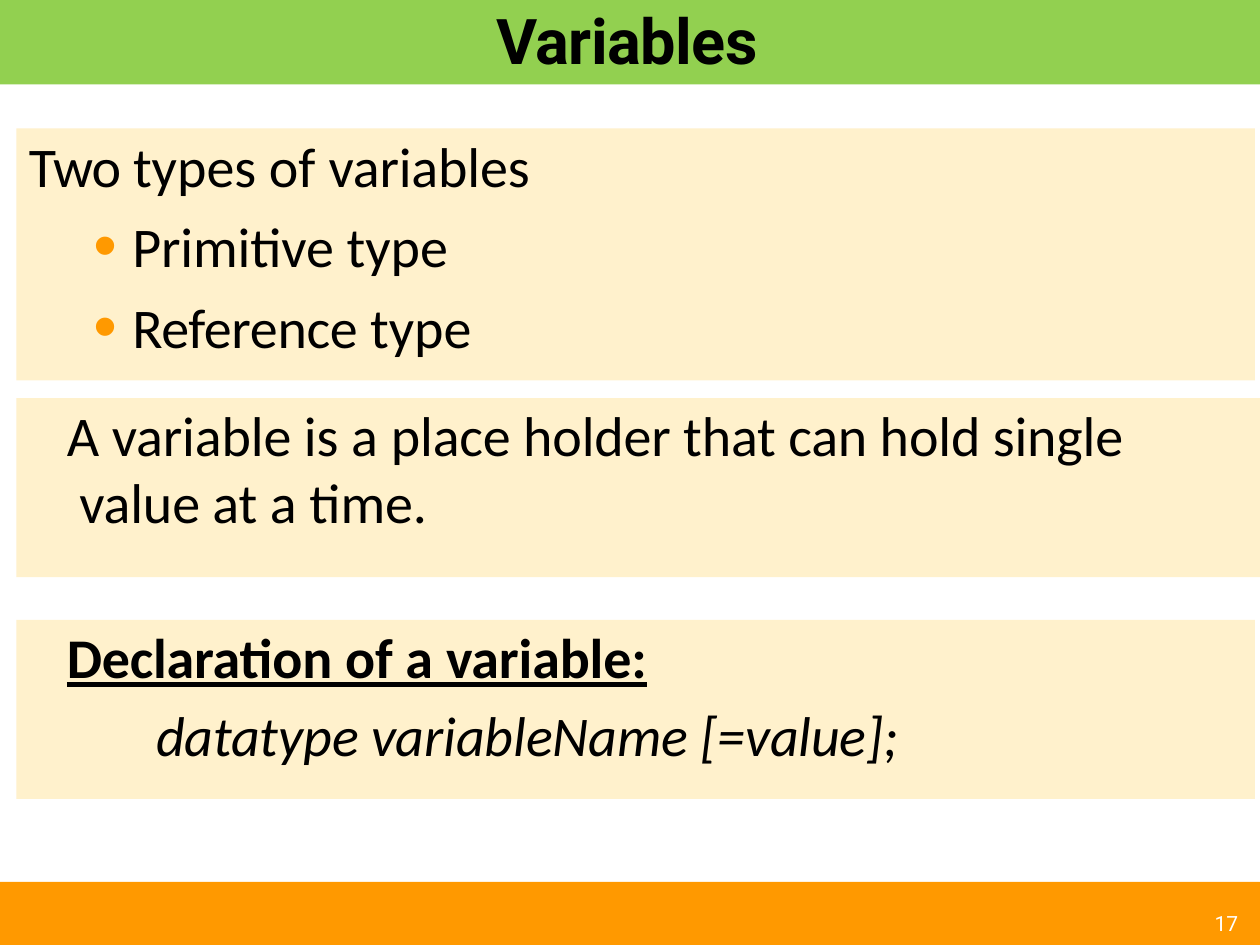
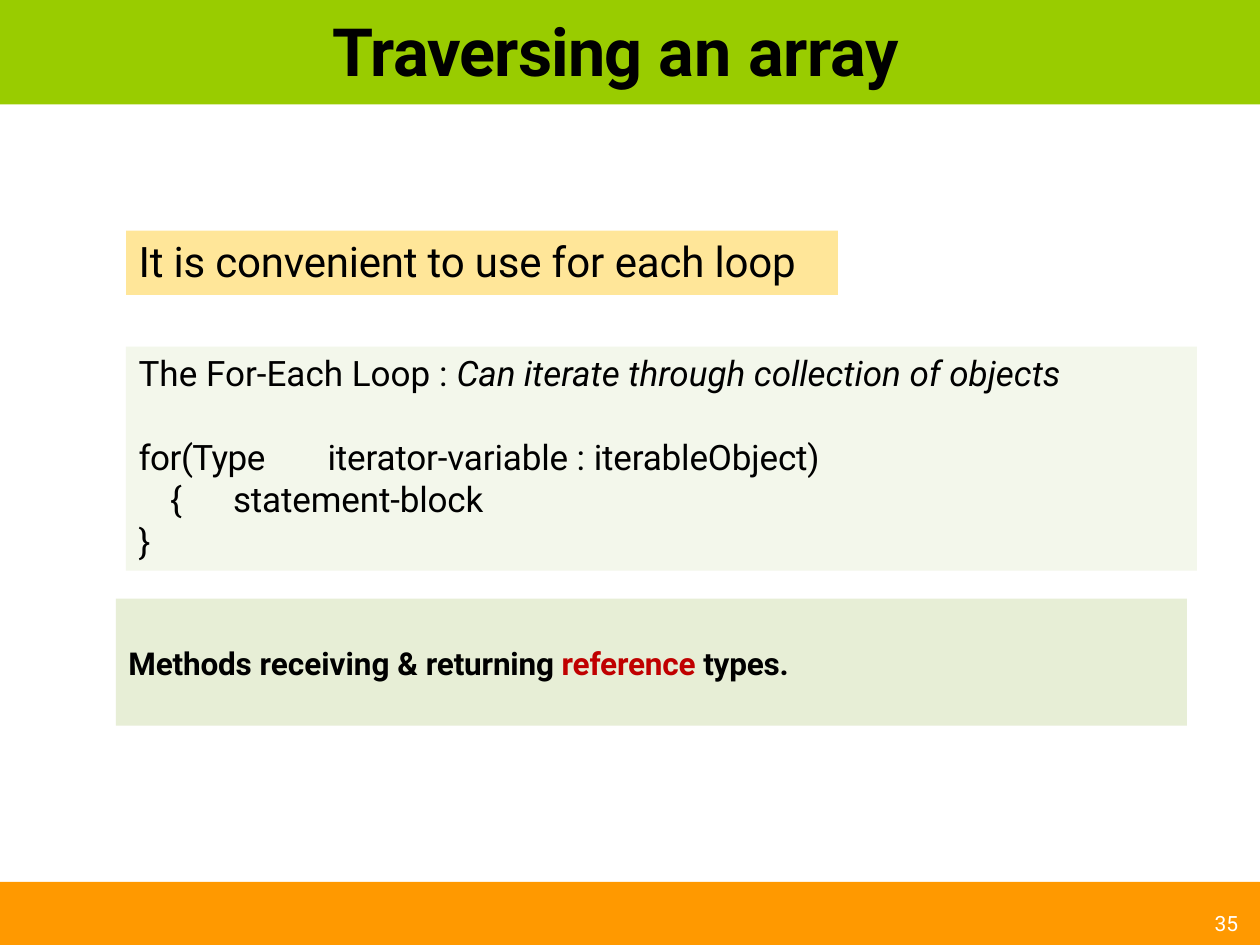
from lxml.etree import SubElement as Sub
from pptx import Presentation
from pptx.dml.color import RGBColor
from pptx.enum.shapes import MSO_SHAPE as Kind
from pptx.enum.text import MSO_ANCHOR as Anchor, MSO_AUTO_SIZE as Fit, PP_ALIGN as Align
from pptx.oxml.ns import qn
from pptx.util import Inches, Pt

COLS, ROWS = 100, 75
BLACK, WHITE, ORANGE, RED = "000000", "FFFFFF", "FF9900", "C00000"
LEAF, LIME, CREAM = "92D050", "99CC00", "FFF1CC"
SAND, MINT, SAGE = "FFE699", "F3F7EB", "E7EED6"
FOOT = (0, 70, COLS, 5)

deck = Presentation()
deck.slide_width, deck.slide_height = Inches(10), Inches(7.5)
COL, ROW = deck.slide_width / COLS, deck.slide_height / ROWS


def paint(colour, hue):
    """Set a fill or font colour from a hex string."""
    colour.rgb = RGBColor.from_string(hue)


def span(box):
    """Turn a box in grid cells into lengths."""
    x, y, w, h = box
    return [round(n) for n in (x * COL, y * ROW, w * COL, h * ROW)]


def panel(slide, box, hue):
    """Draw a plain filled rectangle."""
    shape = slide.shapes.add_shape(Kind.RECTANGLE, *span(box))
    shape.shadow.inherit = False
    shape.fill.solid()
    paint(shape.fill.fore_color, hue)
    shape.line.fill.background()
    return shape


def frame(shape, top=0.01, anchor=Anchor.TOP):
    """Prepare the text frame of a shape."""
    text = shape.text_frame
    text.word_wrap, text.auto_size = True, Fit.NONE
    text.vertical_anchor = anchor
    text.margin_left = text.margin_right = text.margin_bottom = 0
    text.margin_top = Inches(top)
    return text


def para(text, runs, size, font, left=0, first=0, before=0, dot=None, tab=None, **base):
    """Write one paragraph from runs of words, tracking and style."""
    line = text.paragraphs[0]
    if line.runs:
        line = text.add_paragraph()
    line.alignment = Align.LEFT
    line.space_before = Pt(before)
    props = line._p.get_or_add_pPr()
    props.set("marL", str(Inches(left)))
    props.set("indent", str(Inches(first)))
    if dot:
        Sub(Sub(props, qn("a:buClr")), qn("a:srgbClr"), val=dot)
        Sub(props, qn("a:buSzPct"), val="120000")
        Sub(props, qn("a:buChar"), char="•")
    else:
        Sub(props, qn("a:buNone"))
    if tab:
        Sub(Sub(props, qn("a:tabLst")), qn("a:tab"), pos=str(Inches(tab)), algn="l")
    for words, track, *extra in runs:
        style = {**base, **(extra[0] if extra else {})}
        run = line.add_run()
        run.text = words
        run.font.size, run.font.name = Pt(size), font
        run.font.bold = style.get("bold", False)
        run.font.italic = style.get("italic", False)
        run.font.underline = style.get("under", False)
        paint(run.font.color, style.get("hue", BLACK))
        run._r.get_or_add_rPr().set("spc", str(round(track * 100)))


def seat(slide, holder, box):
    """Move a placeholder to a box, in front of the panels."""
    holder.left, holder.top, holder.width, holder.height = span(box)
    slide.shapes.element.append(holder.element)
    return frame(holder)


def head(slide, box, hue, area, runs, size):
    """Draw the title band and the title on it."""
    panel(slide, box, hue)
    para(seat(slide, slide.shapes.title, area), runs, size, "Roboto", 0.01, before=1, bold=True)


def page(slide, box, number):
    """Put the page number at the right of the footer."""
    x, y, w, h = box
    spot = slide.shapes.add_textbox(*span((x + w - 4, y + h - 2.7, 2.6, 2.2)))
    para(frame(spot, 0), [(number, 0)], 12, "Roboto", 0.04, hue=WHITE)


def types(slide, box):
    """Draw the cream panels and the list on variables."""
    x, y, w, h = box
    for top, wide, tall in ((0, w - 0.4, 20), (21.4, w, 14.2), (39, w - 0.4, 14.2)):
        panel(slide, (x, y + top, wide, tall), CREAM)
    text = seat(slide, slide.placeholders[1], (x + 0.9, y + 0.1, 87.8, h - 2.4))
    look = {"size": 32, "font": "Calibri"}
    para(text, [("Two ", -0.5), ("types of ", 0), ("variables", -0.1)], left=0.01, before=1.1, **look)
    for word, track in (("Primitive ", -0.1), ("Reference ", -0.2)):
        para(text, [(word, track), ("type", 0)], left=0.83, first=-0.31, before=7.7, dot=ORANGE, **look)
    para(text, [("A ", 0), ("variable ", -0.1), ("is a ", 0),
                ("place holder that can hold single value at ", -0.1), ("a ", 0), ("time.", -0.1)],
         left=0.41, first=-0.1, before=23.4, **look)
    para(text, [("Declaration ", -0.1), ("of a", 0), (" ", -0.5), ("variable:", -0.1)],
         left=0.31, before=50.2, bold=True, under=True, **look)
    para(text, [("datatype variableName [=value];", -0.1)], left=1.02, before=6, italic=True, **look)


def loops(slide, box):
    """Draw the panels on the for-each loop and on reference types."""
    x, y, w, h = box
    code = frame(panel(slide, (x + 0.8, y + 9.2, w - 0.8, 17.8), MINT), 0.04)
    look = {"size": 20, "font": "Roboto"}
    para(code, [("The For-Each Loop : ", 0), ("Can ", -0.1, {"italic": True}),
                ("iterate through collection of objects", 0, {"italic": True})],
         left=0.1, before=3, **look)
    para(code, [("for(Type\t", -0.3), ("iterator-variable ", -0.1), (": ", 0),
                ("iterableObject)", -0.1)], left=0.1, before=24.2, tab=1.38, **look)
    para(code, [("{\t", 0), ("statement-block", -0.1)], left=0.35, tab=0.59, **look)
    para(code, [("}", 0)], left=0.1, **look)
    tip = frame(panel(slide, (x + 0.8, y, 56.5, 5.1), SAND), 0.04)
    para(tip, [("It is convenient to use ", -0.1), ("for ", 0), ("each loop", -0.1)],
         24, "Roboto", 0.1, before=2.9)
    note = frame(panel(slide, (x, y + h - 10.1, w - 0.8, 10.1), SAGE), 0.02, Anchor.MIDDLE)
    para(note, [("Methods ", -0.1), ("receiving & ", 0), ("returning ", -0.1),
                ("reference ", -0.1, {"hue": RED}), ("types.", -0.1)],
         18, "Roboto", 0.1, bold=True)


def build():
    """Make both slides with the shared footer band on the master."""
    first = deck.slides.add_slide(deck.slide_layouts[1])
    band = panel(first, FOOT, ORANGE)
    deck.slide_master.shapes.element.insert(2, band.element)
    head(first, (0, 0, COLS, 6.7), LEAF, (39.3, 0, 21.4, 6.3), [("Variables", -0.3)], 36)
    types(first, (1.3, 10.2, 98.7, 53.2))
    page(first, FOOT, "17")
    second = deck.slides.add_slide(deck.slide_layouts[5])
    head(second, (0, 0, COLS, 8.3), LIME, (26.3, 0.7, 47.6, 6.6),
         [("Traversing ", -0.5), ("an ", 0), ("array", -0.2)], 38)
    loops(second, (9.2, 18.3, 85.8, 39.3))
    page(second, FOOT, "35")


build()
deck.save("out.pptx")
